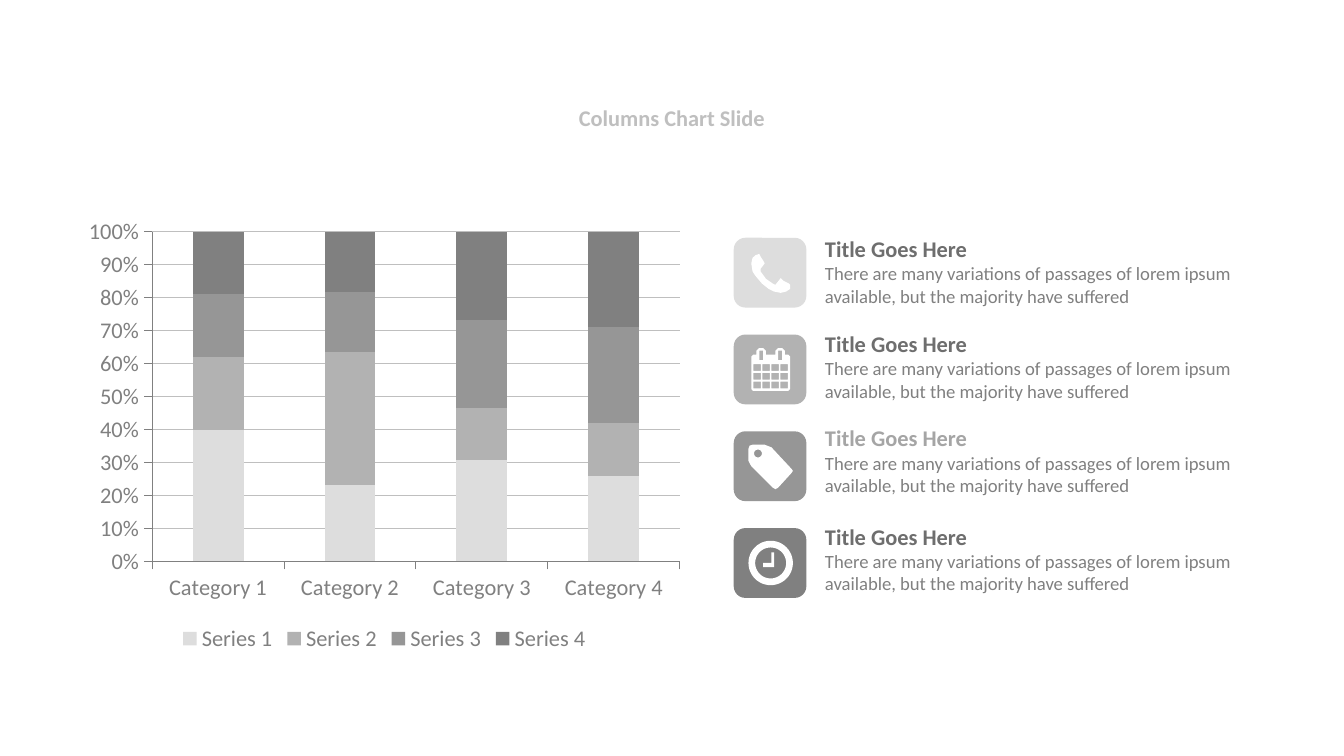
from math import cos, pi, sin

from pptx import Presentation
from pptx.chart.data import CategoryChartData
from pptx.dml.color import RGBColor
from pptx.enum.chart import XL_CHART_TYPE, XL_LEGEND_POSITION, XL_TICK_MARK
from pptx.enum.shapes import MSO_SHAPE
from pptx.enum.text import MSO_ANCHOR, MSO_AUTO_SIZE, PP_ALIGN
from pptx.util import Pt

STACKED = XL_CHART_TYPE.COLUMN_STACKED_100
BOTTOM = XL_LEGEND_POSITION.BOTTOM
TICK_OUT, TICK_NONE = XL_TICK_MARK.OUTSIDE, XL_TICK_MARK.NONE
ROUNDED = MSO_SHAPE.ROUNDED_RECTANGLE
MIDDLE, CENTER = MSO_ANCHOR.MIDDLE, PP_ALIGN.CENTER
GROW = MSO_AUTO_SIZE.SHAPE_TO_FIT_TEXT

FONT = "Calibri"
WHITE = RGBColor(0xFF, 0xFF, 0xFF)
SILVER = RGBColor(0xBF, 0xBF, 0xBF)
GRAY = RGBColor(0x80, 0x80, 0x80)
DARK = RGBColor(0x6E, 0x6E, 0x6E)
MUTED = RGBColor(0xA5, 0xA5, 0xA5)
SHADES = [RGBColor(0xDD, 0xDD, 0xDD), RGBColor(0xB2, 0xB2, 0xB2),
          RGBColor(0x96, 0x96, 0x96), GRAY]

TITLE = "Columns Chart Slide"
CATEGORIES = ["Category 1", "Category 2", "Category 3", "Category 4"]
SERIES = [
    ("Series 1", (40, 23, 31, 26)),
    ("Series 2", (22, 40, 16, 16)),
    ("Series 3", (19, 18, 27, 29)),
    ("Series 4", (19, 18, 27, 29)),
]
HEADING = "Title Goes Here"
DETAIL = ("There are many variations of passages of lorem ipsum available, "
          "but the majority have suffered")
ITEMS = [(122.4, DARK), (173.5, DARK), (223.9, MUTED), (276.5, DARK)]  # text top, heading colour

TILE_LEFT, TILE_TOP, TILE_STEP = 393.1, 127.4, 51.84
TILE_WIDTH, TILE_HEIGHT = 38.9, 37.4


def rectangle(left, top, width, height):
    right, bottom = left + width, top + height
    return [(left, top), (right, top), (right, bottom), (left, bottom)]


def circle(x, y, radius, steps=48):
    angles = [2 * pi * step / steps for step in range(steps)]
    return [(x + radius * cos(angle), y + radius * sin(angle)) for angle in angles]


# Icon outlines, in points from the corner of their tile; inner outlines are holes.
PHONE = [[
    (30.2, 27.4), (28.1, 28.8), (25.2, 29.5), (21.6, 28.8), (18.7, 27.4), (15.1, 24.5),
    (11.5, 20.2), (10.1, 18), (9.4, 13.7), (10.1, 10.8), (11.5, 9.4), (13.7, 8.6),
    (14.4, 10.1), (15.8, 12.2), (16.6, 13.7), (14.4, 16.6), (14.4, 18), (17.3, 22),
    (20.9, 24.5), (22.3, 25.2), (25.2, 21.6), (26.6, 23), (29.5, 24.5), (30.2, 25.2),
]]
CALENDAR = [
    [(9.4, 11.8), (10.4, 10.8), (12.2, 10.8), (12.2, 8.7), (13.7, 7.2), (15.8, 7.2),
     (17.3, 8.7), (17.3, 10.8), (22.3, 10.8), (22.3, 8.7), (23.8, 7.2), (25.9, 7.2),
     (27.4, 8.7), (27.4, 10.8), (29.2, 10.8), (30.2, 11.8), (30.2, 29.2), (29.2, 30.2),
     (10.4, 30.2), (9.4, 29.2)],
    *[rectangle(left, 8.6, 2.1, 5.1) for left in (13.7, 23.8)],
    *[rectangle(10.6 + 4.8 * column, 15.8 + 4.7 * row, 4, 3.7)
      for row in range(3) for column in range(4)],
]
TAG = [
    [(31, 22.3), (23.8, 30.2), (22.4, 31), (20.9, 30.2), (9.4, 18.7), (7.9, 15.8),
     (7.9, 9.4), (8.5, 7.7), (10.1, 7.2), (16.6, 7.2), (20.2, 8.6), (31, 20.2), (31.7, 21.2)],
    circle(13, 11.9, 2.1),
]
CLOCK = [
    circle(19.8, 18.7, 11.9),
    circle(19.8, 18.7, 8.3),
    [(20.2, 13), (21.6, 13), (21.6, 20.9), (15.8, 20.9), (15.8, 18.7), (20.2, 18.7)],
]
ICONS = [PHONE, CALENDAR, TAG, CLOCK]


def style(font, size, color, bold=False):
    font.name, font.size, font.bold = FONT, Pt(size), bold
    font.color.rgb = color


def paint(shape, color):
    shape.shadow.inherit = False
    shape.fill.solid()
    shape.fill.fore_color.rgb = color
    shape.line.fill.background()


def add_title(page):
    frame = page.shapes.add_textbox(Pt(198), Pt(56.2), Pt(324), Pt(15.8)).text_frame
    frame.margin_left = frame.margin_top = frame.margin_right = frame.margin_bottom = 0
    frame.word_wrap = False
    frame.vertical_anchor = MIDDLE
    frame.text = TITLE
    para = frame.paragraphs[0]
    para.alignment, para.line_spacing, para.space_before = CENTER, 0.9, Pt(7.5)
    style(para.runs[0].font, 12, SILVER, True)


def add_columns(page):
    data = CategoryChartData()
    data.categories = CATEGORIES
    for name, values in SERIES:
        data.add_series(name, values)
    chart = page.shapes.add_chart(STACKED, Pt(41), Pt(112.3), Pt(329.8), Pt(239.8), data).chart
    style(chart.font, 12, GRAY)
    chart.has_title = False
    chart.has_legend = True
    chart.legend.position = BOTTOM
    chart.legend.include_in_layout = False
    style(chart.legend.font, 12, GRAY)

    for axis in (chart.category_axis, chart.value_axis):
        axis.major_tick_mark, axis.minor_tick_mark = TICK_OUT, TICK_NONE
        axis.format.line.color.rgb = GRAY
        axis.format.line.width = Pt(0.5)
        style(axis.tick_labels.font, 12, GRAY)
    values = chart.value_axis
    values.maximum_scale, values.major_unit = 1, 0.1
    values.tick_labels.number_format = "0%"
    values.tick_labels.number_format_is_linked = False
    values.has_major_gridlines = True
    values.major_gridlines.format.line.color.rgb = SILVER
    values.major_gridlines.format.line.width = Pt(0.5)

    plot = chart.plots[0]
    plot.gap_width, plot.overlap, plot.vary_by_categories = 159, 100, False
    for series, shade in zip(plot.series, SHADES):
        series.format.fill.solid()
        series.format.fill.fore_color.rgb = shade


def add_item(page, top, color):
    frame = page.shapes.add_textbox(Pt(434.9), Pt(top), Pt(235.4), Pt(46.1)).text_frame
    frame.word_wrap = True
    frame.auto_size = GROW
    frame.text = f"{HEADING}\n{DETAIL}"
    heading, detail = frame.paragraphs
    style(heading.runs[0].font, 12, color, True)
    style(detail.runs[0].font, 10, GRAY)


def add_icon(page, top, shade, outlines):
    tile = page.shapes.add_shape(ROUNDED, Pt(TILE_LEFT), Pt(top), Pt(TILE_WIDTH), Pt(TILE_HEIGHT))
    paint(tile, shade)
    placed = [[(Pt(TILE_LEFT + x), Pt(top + y)) for x, y in outline] for outline in outlines]
    builder = page.shapes.build_freeform(*placed[0][0])
    for index, points in enumerate(placed):
        if index:
            builder.move_to(*points[0])
        builder.add_line_segments(points[1:], close=True)
    paint(builder.convert_to_shape(), WHITE)


def main():
    deck = Presentation()
    deck.slide_width, deck.slide_height = Pt(720), Pt(405)
    page = deck.slides.add_slide(deck.slide_layouts[6])
    add_title(page)
    add_columns(page)
    for top, color in ITEMS:
        add_item(page, top, color)
    for index, (shade, outlines) in enumerate(zip(SHADES, ICONS)):
        add_icon(page, TILE_TOP + index * TILE_STEP, shade, outlines)
    deck.save("out.pptx")


if __name__ == "__main__":
    main()
